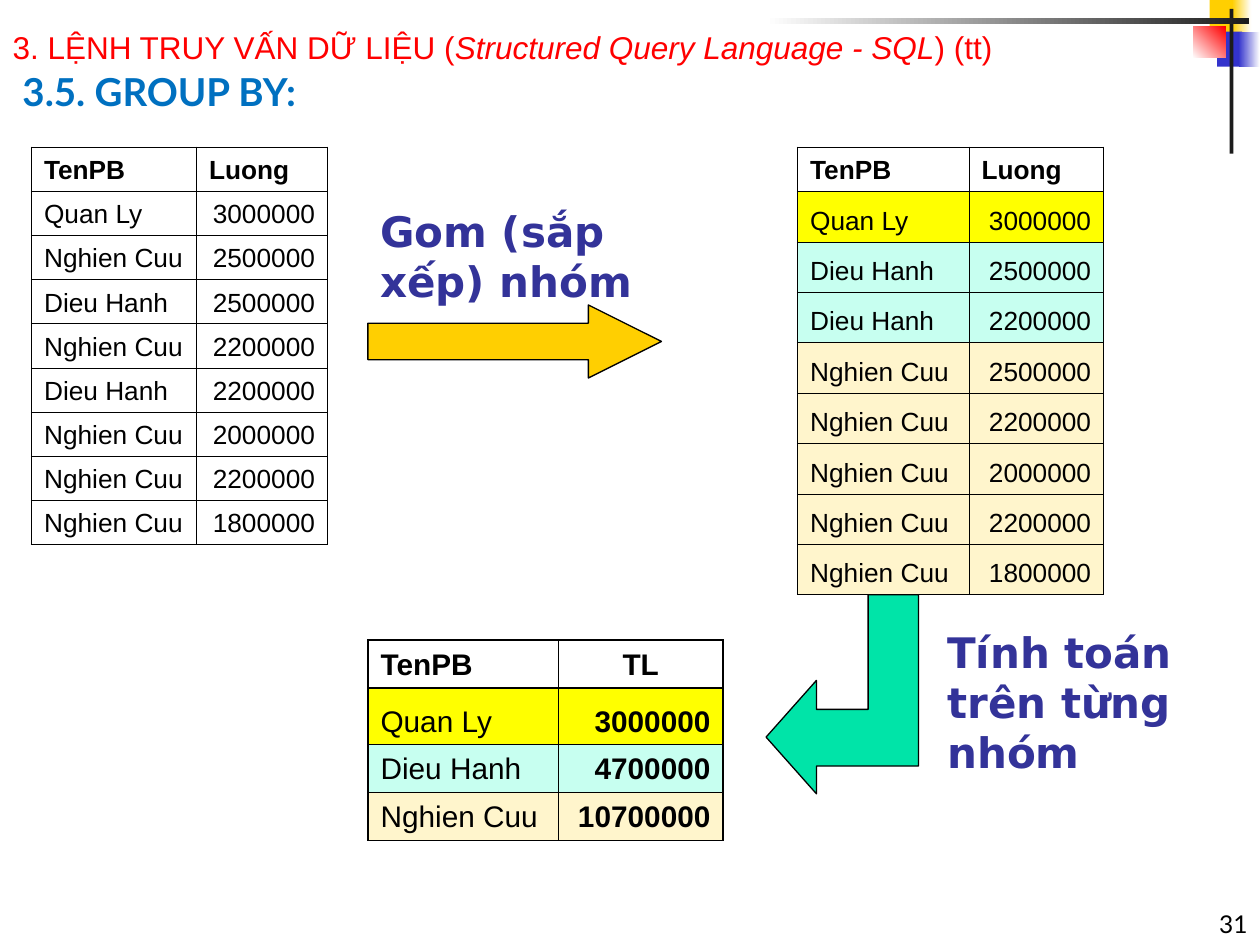
from dataclasses import dataclass

from lxml.etree import SubElement
from pptx import Presentation
from pptx.dml.color import RGBColor
from pptx.enum.shapes import MSO_SHAPE as Shape
from pptx.enum.text import MSO_ANCHOR as Anchor, MSO_AUTO_SIZE as Auto, PP_ALIGN as Align
from pptx.oxml.ns import qn
from pptx.util import Inches, Pt

COLORS = {
    "gold": "FFCF01", "blue": "3333CC", "red": "FF0000", "white": "FFFFFF",
    "dark": "1C1C1C", "black": "000000", "navy": "333399", "sky": "0070C0",
    "green": "00E4A8", "yellow": "FFFF00", "mint": "C7FFF0", "cream": "FFF5CC",
}
GROUPS = {"Quan Ly": "yellow", "Dieu Hanh": "mint", "Nghien Cuu": "cream"}
THIN, THICK = 0.45, 0.96


@dataclass
class Block:
    box: tuple[float, float, float, float]
    color: str
    fade: str = ""
    angle: int = 0


@dataclass
class Label:
    box: tuple[float, float, float, float]
    text: str
    size: int
    font: str
    color: str
    bold: bool = True
    align: Align = Align.LEFT
    anchor: Anchor = Anchor.TOP
    before: float = 0
    fit: Auto = Auto.NONE


@dataclass
class Grid:
    left: float
    top: float
    cols: list[float]
    heights: list[float]
    rows: list[tuple[str, str]]
    size: int = 15
    tinted: bool = True
    totals: bool = False


BLOCKS = [
    Block((9.6, 0, 0.2, 0.28), "gold"),
    Block((9.78, 0, 0.15, 0.28), "gold", "white"),
    Block((9.66, 0.25, 0.2, 0.28), "blue"),
    Block((9.83, 0.25, 0.17, 0.28), "blue", "white"),
    Block((9.47, 0.21, 0.26, 0.25), "white", "red", 45),
    Block((9.76, 0.07, 0.03, 1.15), "dark"),
    Block((6.08, 0.14, 3.83, 0.05), "white", "dark"),
]
LABELS = [
    Label((7.92, 7, 2.08, 0.5), "31", 14, "Lato", "black", False, Align.RIGHT, Anchor.BOTTOM),
    Label((2.92, 1.58, 2.33, 0.9), "Gom (sắp xếp) nhóm", 24, "DejaVu Sans", "navy",
          fit=Auto.SHAPE_TO_FIT_TEXT),
    Label((7.42, 4.92, 2.33, 1.3), "Tính toán trên từng nhóm", 24, "DejaVu Sans", "navy",
          fit=Auto.SHAPE_TO_FIT_TEXT),
    Label((0.08, 0.49, 9.58, 0.51), "3.5. GROUP BY:", 22, "Lato", "sky", before=5.5),
]
HEAD = ("TenPB", "Luong")
STAFF = [
    ("Quan Ly", "3000000"), ("Nghien Cuu", "2500000"), ("Dieu Hanh", "2500000"),
    ("Nghien Cuu", "2200000"), ("Dieu Hanh", "2200000"), ("Nghien Cuu", "2000000"),
    ("Nghien Cuu", "2200000"), ("Nghien Cuu", "1800000"),
]
ORDER = list(GROUPS)
SORTED = sorted(STAFF, key=lambda row: ORDER.index(row[0]))
TOTALS = [(name, str(sum(int(pay) for group, pay in STAFF if group == name)))
          for name in ORDER]
GRIDS = [
    Grid(0.25, 1.17, [1.31, 1.04], [0.35] * 9, [HEAD] + STAFF, tinted=False),
    Grid(6.33, 1.17, [1.36, 1.07], [0.35] + [0.4] * 8, [HEAD] + SORTED),
    Grid(2.92, 5.08, [1.51, 1.31], [0.38, 0.45, 0.38, 0.38],
         [("TenPB", "TL")] + TOTALS, size=17, totals=True),
]
BENT = [(6.08, 5.85), (6.48, 5.4), (6.48, 5.63), (6.89, 5.63), (6.89, 4.72),
        (7.29, 4.72), (7.29, 6.08), (6.48, 6.08), (6.48, 6.3)]


def rgb(name: str) -> RGBColor:
    return RGBColor.from_string(COLORS[name])


def inches(box) -> list:
    return [Inches(n) for n in box]


def add_run(para, text: str, size: int, font: str, color: str,
            bold: bool = False, italic: bool = False) -> None:
    run = para.add_run()
    run.text = text
    run.font.size, run.font.name = Pt(size), font
    run.font.bold, run.font.italic = bold, italic
    run.font.color.rgb = rgb(color)


def add_block(slide, block: Block) -> None:
    shape = slide.shapes.add_shape(Shape.RECTANGLE, *inches(block.box))
    shape.shadow.inherit = False
    shape.line.fill.background()
    if not block.fade:
        shape.fill.solid()
        shape.fill.fore_color.rgb = rgb(block.color)
        return
    shape.fill.gradient()
    shape.fill.gradient_angle = block.angle
    for stop, name in zip(shape.fill.gradient_stops, (block.color, block.fade)):
        stop.color.rgb = rgb(name)


def add_label(slide, label: Label) -> None:
    frame = slide.shapes.add_textbox(*inches(label.box)).text_frame
    frame.word_wrap, frame.auto_size = True, label.fit
    frame.vertical_anchor = label.anchor
    para = frame.paragraphs[0]
    para.alignment, para.space_before = label.align, Pt(label.before)
    add_run(para, label.text, label.size, label.font, label.color, label.bold)


def set_edges(cell, edges: dict[str, float]) -> None:
    """Put border lines before the fill, as the schema asks."""
    props = cell._tc.get_or_add_tcPr()
    for spot, (side, width) in enumerate(edges.items()):
        line = SubElement(props, qn(f"a:ln{side}"), w=str(Pt(width)))
        fill = SubElement(line, qn("a:solidFill"))
        SubElement(fill, qn("a:srgbClr"), val=COLORS["black"])
        props.insert(spot, line)


def add_grid(slide, grid: Grid) -> None:
    count = len(grid.rows)
    box = (grid.left, grid.top, sum(grid.cols), sum(grid.heights))
    table = slide.shapes.add_table(count, 2, *inches(box)).table
    table.first_row = table.horz_banding = False
    for col, width in zip(table.columns, grid.cols):
        col.width = Inches(width)
    for r, (row, height) in enumerate(zip(grid.rows, grid.heights)):
        table.rows[r].height = Inches(height)
        for c, text in enumerate(row):
            cell = table.cell(r, c)
            cell.vertical_anchor = Anchor.BOTTOM
            if r and grid.tinted:
                cell.fill.solid()
                cell.fill.fore_color.rgb = rgb(GROUPS[row[0]])
            else:
                cell.fill.background()
            para = cell.text_frame.paragraphs[0]
            if c:
                head = Align.CENTER if grid.totals else Align.LEFT
                para.alignment = Align.RIGHT if r else head
            bold = r == 0 or (grid.totals and c == 1)
            add_run(para, text, grid.size, "Arial", "black", bold)
            set_edges(cell, {
                "L": THIN if c else THICK,
                "R": THICK if c else THIN,
                "T": THICK if r < 2 else THIN,
                "B": THICK if r in (0, count - 1) else THIN,
            })


def paint(shape, color: str) -> None:
    shape.shadow.inherit = False
    shape.fill.solid()
    shape.fill.fore_color.rgb = rgb(color)
    shape.line.color.rgb = rgb("black")
    shape.line.width = Pt(0.75)


def add_arrows(slide) -> None:
    arrow = slide.shapes.add_shape(Shape.RIGHT_ARROW, *inches((2.92, 2.42, 2.33, 0.58)))
    arrow.adjustments[0], arrow.adjustments[1] = 0.5, 1
    paint(arrow, "gold")
    first, *rest = [inches(point) for point in BENT]
    path = slide.shapes.build_freeform(*first)
    path.add_line_segments(rest, close=True)
    paint(path.convert_to_shape(), "green")


def set_title(slide) -> None:
    title = slide.shapes.title
    title.left, title.top, title.width, title.height = inches((0, -0.01, 9.67, 0.58))
    frame = title.text_frame
    frame.word_wrap, frame.auto_size = True, Auto.NONE
    frame.vertical_anchor = Anchor.BOTTOM
    para = frame.paragraphs[0]
    para.alignment = Align.LEFT
    for text, italic in (("3. LỆNH TRUY VẤN DỮ LIỆU (", False),
                         ("Structured Query Language - SQL", True), (") (tt)", False)):
        add_run(para, text, 18, "Arial", "red", italic=italic)


def main() -> None:
    deck = Presentation()
    deck.slide_width, deck.slide_height = Inches(10), Inches(7.5)
    slide = deck.slides.add_slide(deck.slide_layouts[5])
    for block in BLOCKS:
        add_block(slide, block)
    set_title(slide)
    for grid in GRIDS:
        add_grid(slide, grid)
    add_arrows(slide)
    for label in LABELS:
        add_label(slide, label)
    deck.save("out.pptx")


if __name__ == "__main__":
    main()
